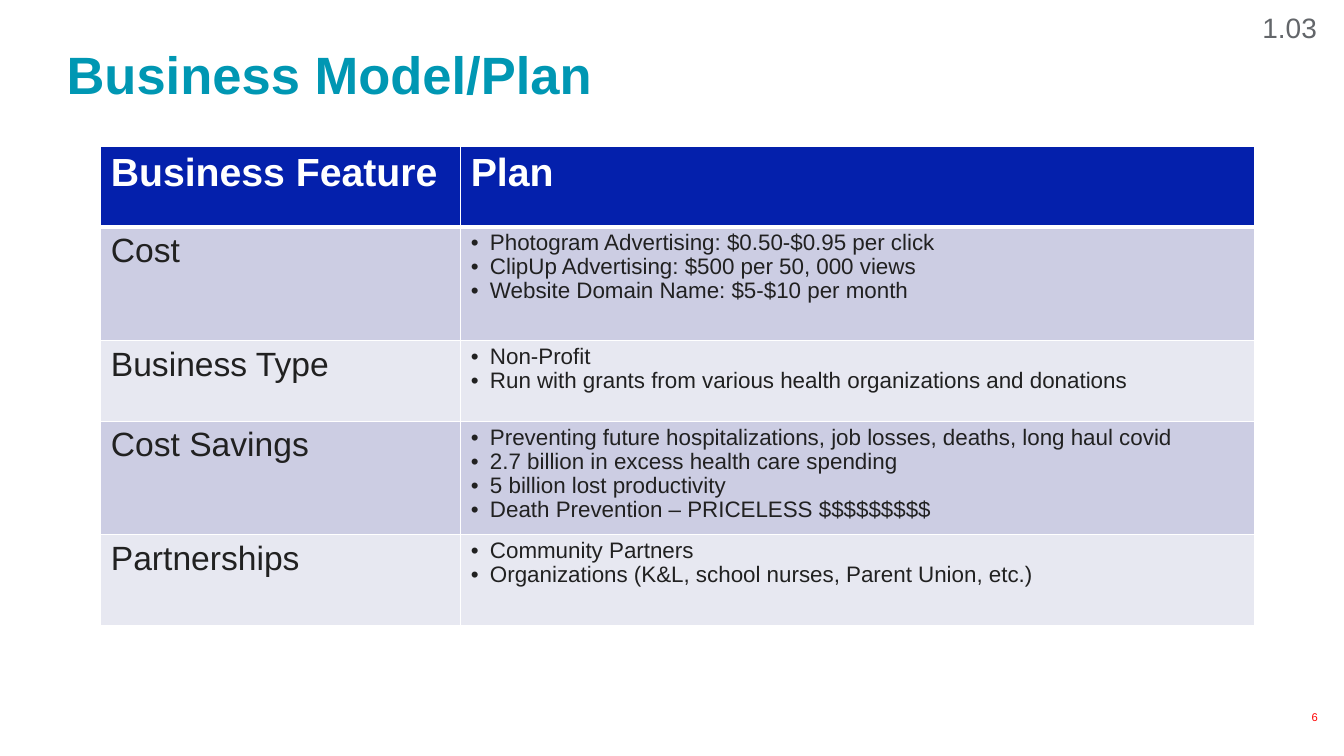
"""Builds the Business Model/Plan slide with its feature table."""
from lxml import etree
from pptx import Presentation
from pptx.dml.color import RGBColor
from pptx.enum import text
from pptx.oxml import ns
from pptx.util import Inches, Pt

TITLE = "Business Model/Plan"
HEADERS = ("Business Feature", "Plan")
FEATURES = [
    ("Cost", 1.13, [
        "Photogram Advertising: $0.50-$0.95 per click",
        "ClipUp Advertising: $500 per 50, 000 views",
        "Website Domain Name: $5-$10 per month",
    ]),
    ("Business Type", 0.8, [
        "Non-Profit",
        "Run with grants from various health organizations and donations",
    ]),
    ("Cost Savings", 1.09, [
        "Preventing future hospitalizations, job losses, deaths, long haul covid",
        "2.7 billion in excess health care spending",
        "5 billion lost productivity",
        "Death Prevention – PRICELESS $$$$$$$$$",
    ]),
    ("Partnerships", 0.9, [
        "Community Partners",
        "Organizations (K&L, school nurses, Parent Union, etc.)",
    ]),
]
COLUMN_WIDTHS = (3.57, 7.87)
HEADER_HEIGHT = 0.8

FONT = "Arial"
TEAL = RGBColor(0x00, 0x97, 0xB3)
NAVY = RGBColor(0x04, 0x20, 0xAC)
WHITE = RGBColor(0xFF, 0xFF, 0xFF)
INK = RGBColor(0x21, 0x21, 0x21)
GRAY = RGBColor(0x63, 0x66, 0x6A)
RED = RGBColor(0xFF, 0x00, 0x00)
BANDS = (RGBColor(0xCC, 0xCD, 0xE3), RGBColor(0xE7, 0xE8, 0xF1))


def style(paragraph, size, color, bold=False):
    """Format every run of a paragraph."""
    for run in paragraph.runs:
        run.font.name = FONT
        run.font.size = Pt(size)
        run.font.bold = bold
        run.font.color.rgb = color


def add_bullet(paragraph):
    """Give a paragraph a hanging bullet."""
    properties = paragraph._p.get_or_add_pPr()
    properties.set("marL", str(Inches(0.19)))
    properties.set("indent", str(-Inches(0.19)))
    etree.SubElement(properties, ns.qn("a:buFont"), typeface=FONT)
    etree.SubElement(properties, ns.qn("a:buChar"), char="•")


def add_borders(cell, widths):
    """Draw white borders; widths maps side letters to points."""
    properties = cell._tc.get_or_add_tcPr()
    for side, width in widths.items():
        line = etree.SubElement(properties, ns.qn(f"a:ln{side}"), w=str(Pt(width)))
        fill = etree.SubElement(line, ns.qn("a:solidFill"))
        etree.SubElement(fill, ns.qn("a:srgbClr"), val=str(WHITE))


def fill_cell(cell, lines, size, color, fill, borders, bold=False, bulleted=False):
    """Write lines into a cell and format it."""
    add_borders(cell, borders)
    cell.fill.solid()
    cell.fill.fore_color.rgb = fill
    cell.text_frame.text = "\n".join(lines)
    for paragraph in cell.text_frame.paragraphs:
        if bulleted:
            paragraph.line_spacing = 0.96
            add_bullet(paragraph)
        style(paragraph, size, color, bold)


def add_label(slide, label, box, size, color, alignment, margin):
    """Add a one-line text box."""
    frame = slide.shapes.add_textbox(*map(Inches, box)).text_frame
    frame.margin_left = frame.margin_right = Inches(margin)
    frame.margin_top = frame.margin_bottom = 0
    frame.vertical_anchor = text.MSO_ANCHOR.MIDDLE
    frame.text = label
    frame.paragraphs[0].alignment = alignment
    style(frame.paragraphs[0], size, color)


def add_title(slide):
    """Place and format the title placeholder."""
    title = slide.shapes.title
    title.left, title.top, title.width, title.height = map(Inches, (0.66, 0.41, 11.1, 0.63))
    frame = title.text_frame
    frame.margin_left = frame.margin_right = frame.margin_top = frame.margin_bottom = 0
    frame.vertical_anchor = text.MSO_ANCHOR.BOTTOM
    frame.text = TITLE
    frame.paragraphs[0].alignment = text.PP_ALIGN.LEFT
    style(frame.paragraphs[0], 37.5, TEAL, True)


def add_plan_table(slide):
    """Add the feature table."""
    heights = [HEADER_HEIGHT] + [height for _, height, _ in FEATURES]
    box = (1, 1.45, sum(COLUMN_WIDTHS), sum(heights))
    table = slide.shapes.add_table(len(heights), len(HEADERS), *map(Inches, box)).table
    for column, width in zip(table.columns, COLUMN_WIDTHS):
        column.width = Inches(width)
    for row, height in zip(table.rows, heights):
        row.height = Inches(height)
    for index, header in enumerate(HEADERS):
        fill_cell(table.cell(0, index), [header], 28, WHITE, NAVY,
                  {"L": 1, "R": 1, "T": 1, "B": 3}, bold=True)
    for index, (feature, _, plans) in enumerate(FEATURES):
        row = index + 1
        band = BANDS[index % len(BANDS)]
        borders = {"L": 1, "R": 1, "T": 3 if row == 1 else 1, "B": 1}
        fill_cell(table.cell(row, 0), [feature], 24, INK, band, borders)
        fill_cell(table.cell(row, 1), plans, 16, INK, band, borders, bulleted=True)


def main():
    """Build and save the presentation."""
    presentation = Presentation()
    presentation.slide_width, presentation.slide_height = Inches(13.33), Inches(7.5)
    slide = presentation.slides.add_slide(presentation.slide_layouts[5])
    add_title(slide)
    add_label(slide, "6", (12.67, 6.93, 0.5, 0.36), 8, RED, text.PP_ALIGN.RIGHT, 0.1)
    add_plan_table(slide)
    add_label(slide, "1.03", (12.52, 0.1, 0.55, 0.34), 20, GRAY, text.PP_ALIGN.LEFT, 0)
    presentation.save("out.pptx")


if __name__ == "__main__":
    main()
